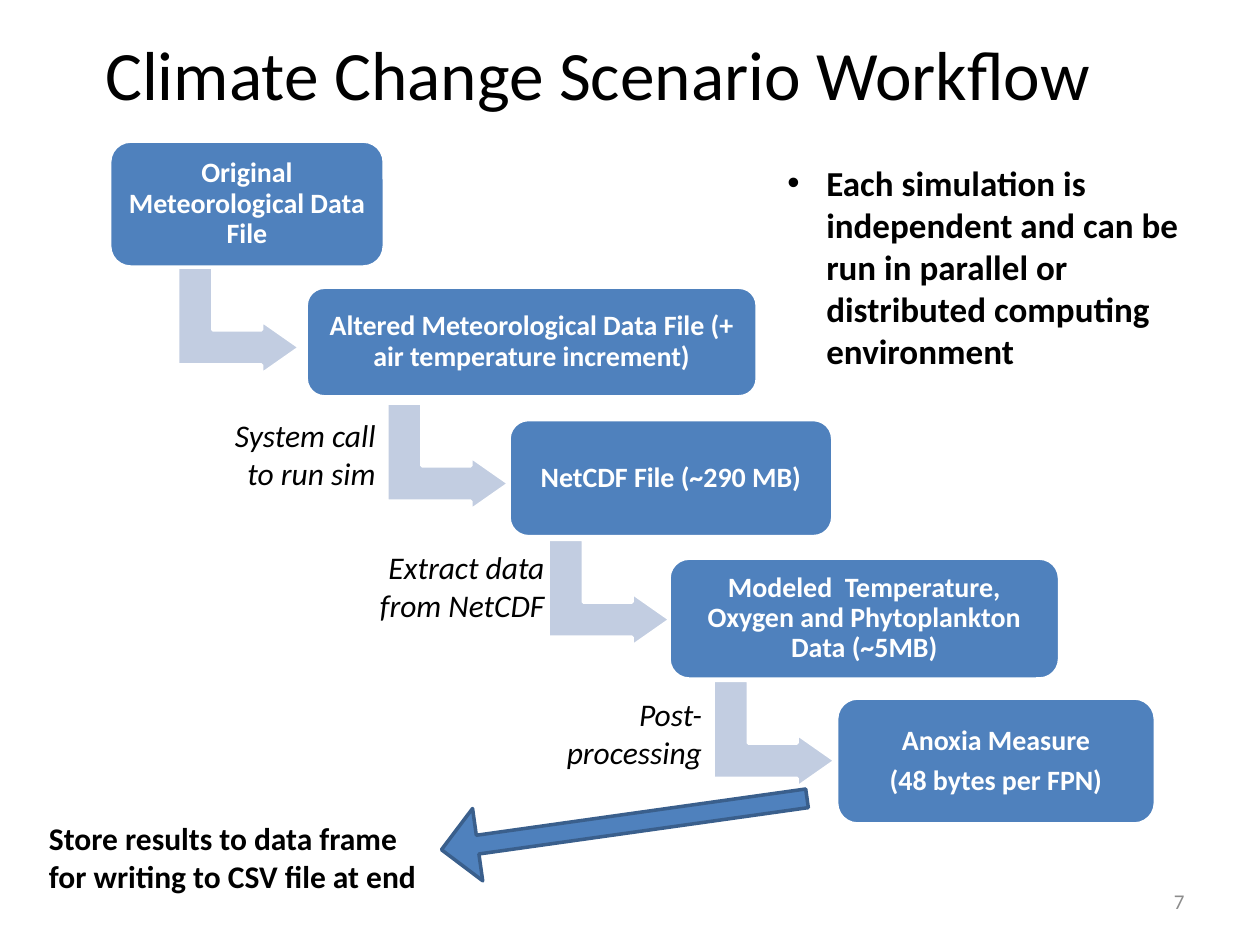
from dataclasses import dataclass

from lxml import etree
from pptx import Presentation
from pptx import util as u
from pptx.dml import color
from pptx.enum import shapes, text
from pptx.oxml import ns


@dataclass(frozen=True)
class Theme:
    font: str = "Calibri"
    blue: str = "4F81BD"
    dark_blue: str = "3A5F8C"
    pale_blue: str = "C2CDE1"
    white: str = "FFFFFF"
    black: str = "000000"
    gray: str = "8C8C8C"
    title_size: float = 39.6
    bullet_size: int = 20
    label_size: int = 18
    step_size: int = 16
    number_size: int = 12


theme = Theme()
ALIGN = text.PP_ALIGN
ANCHOR = text.MSO_ANCHOR
KIND = shapes.MSO_SHAPE

presentation = Presentation()
presentation.slide_width, presentation.slide_height = u.Inches(10), u.Inches(7.5)
slide = presentation.slides.add_slide(presentation.slide_layouts[6])


def add_block(kind, place, fill, line, adjustments, rotation=0):
    """Add a filled preset shape with a 2 pt outline."""
    shape = slide.shapes.add_shape(kind, *map(u.Inches, place))
    shape.shadow.inherit = False
    shape.fill.solid()
    shape.fill.fore_color.rgb = color.RGBColor.from_string(fill)
    shape.line.color.rgb = color.RGBColor.from_string(line)
    shape.line.width = u.Pt(2)
    shape.rotation = rotation
    for index, value in enumerate(adjustments):
        shape.adjustments[index] = value
    return shape


def write(shape, lines, size, ink=theme.black, anchor=ANCHOR.TOP, bullet=False,
          paragraph_format=None, font_format=None):
    """Fill a shape with one paragraph per line."""
    frame = shape.text_frame
    frame.word_wrap = True
    frame.vertical_anchor = anchor
    frame.text = "\n".join(lines)
    for paragraph in frame.paragraphs:
        if bullet:
            properties = paragraph._p.get_or_add_pPr()
            properties.set("marL", str(u.Inches(0.31)))
            properties.set("indent", str(-u.Inches(0.31)))
            etree.SubElement(properties, ns.qn("a:buFont")).set("typeface", "Arial")
            etree.SubElement(properties, ns.qn("a:buChar")).set("char", "•")
        for name, value in (paragraph_format or {}).items():
            setattr(paragraph, name, value)
        for name, value in {"name": theme.font, "size": u.Pt(size), **(font_format or {})}.items():
            setattr(paragraph.font, name, value)
        paragraph.font.color.rgb = color.RGBColor.from_string(ink)


# Arrows between the steps
for left, top in [(1.47, 2.06), (3.13, 3.14), (4.41, 4.22), (5.72, 5.34)]:
    add_block(KIND.BENT_UP_ARROW, (left, top, 0.85, 0.97), theme.pale_blue, theme.white,
              (0.328, 0.25, 0.358), rotation=90)

# Workflow steps
steps = [
    ((0.87, 1.12, 2.18, 1), ["Original Meteorological Data File"]),
    ((2.43, 2.28, 3.58, 0.87), ["Altered Meteorological Data File (+ air temperature increment)"]),
    ((4.04, 3.33, 2.57, 0.93), ["NetCDF File (~290 MB)"]),
    ((5.31, 4.43, 3.1, 0.96), ["Modeled  Temperature, Oxygen and Phytoplankton Data (~5MB)"]),
    ((6.64, 5.54, 2.53, 1), ["Anoxia Measure", "(48 bytes per FPN)"]),
]
step_format = {"alignment": ALIGN.CENTER, "line_spacing": 0.9, "space_after": u.Pt(5.6)}
for place, lines in steps:
    step = add_block(KIND.ROUNDED_RECTANGLE, place, theme.blue, theme.white, (0.167,))
    for side in ("left", "top", "right", "bottom"):
        setattr(step.text_frame, f"margin_{side}", u.Inches(0.07))
    write(step, lines, theme.step_size, theme.white, ANCHOR.MIDDLE,
          paragraph_format=step_format, font_format={"bold": True})

# Title, page number, captions and the bullet
centered, right = {"alignment": ALIGN.CENTER}, {"alignment": ALIGN.RIGHT}
caption = {"size": theme.label_size, "paragraph_format": right, "font_format": {"italic": True}}
bold = {"bold": True}
boxes = [
    ((0.33, 0.02, 8.83, 1.12), ["Climate Change Scenario Workflow"],
     {"size": theme.title_size, "anchor": ANCHOR.MIDDLE, "paragraph_format": centered}),
    ((7.17, 6.95, 2.33, 0.4), ["7"],
     {"size": theme.number_size, "ink": theme.gray, "anchor": ANCHOR.MIDDLE,
      "paragraph_format": right}),
    ((0.29, 6.45, 3.17, 0.71), ["Store results to data frame for writing to CSV file at end"],
     {"size": theme.label_size, "font_format": bold}),
    ((1.71, 3.25, 1.37, 0.71), ["System call to run sim"], caption),
    ((2.83, 4.3, 1.59, 0.71), ["Extract data from NetCDF"], caption),
    ((4.27, 5.47, 1.4, 0.71), ["Post-", "processing"], caption),
    ((6.15, 1.23, 3.54, 1.78),
     ["Each simulation is independent and can be run in parallel or distributed "
      "computing environment"],
     {"size": theme.bullet_size, "bullet": True, "font_format": bold}),
]
for place, lines, options in boxes:
    write(slide.shapes.add_textbox(*map(u.Inches, place)), lines, **options)

# Arrow to the stored results
add_block(KIND.LEFT_ARROW, (3.49, 6.25, 2.93, 0.58), theme.blue, theme.dark_blue,
          (0.258, 0.5), rotation=352)

presentation.save("out.pptx")
